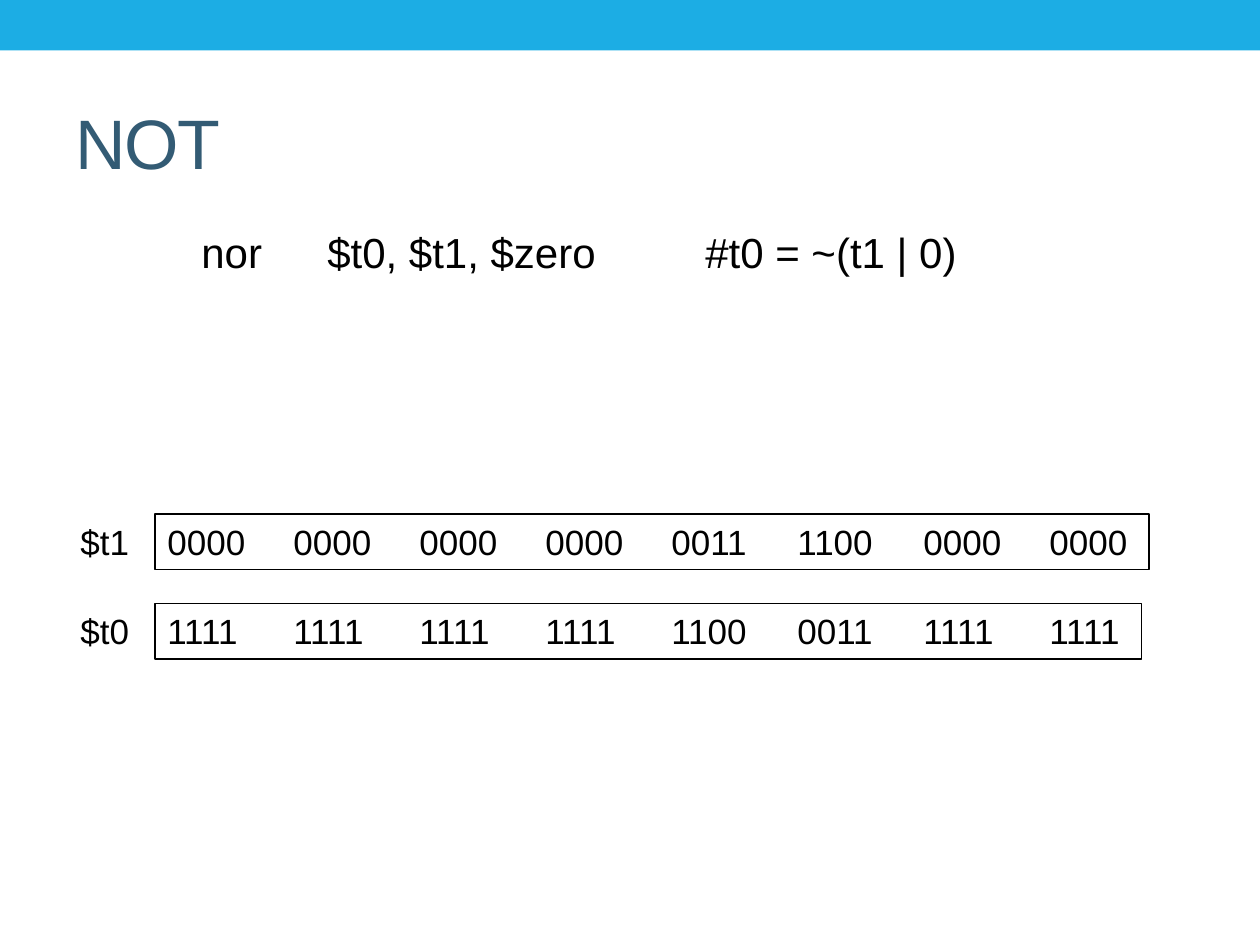
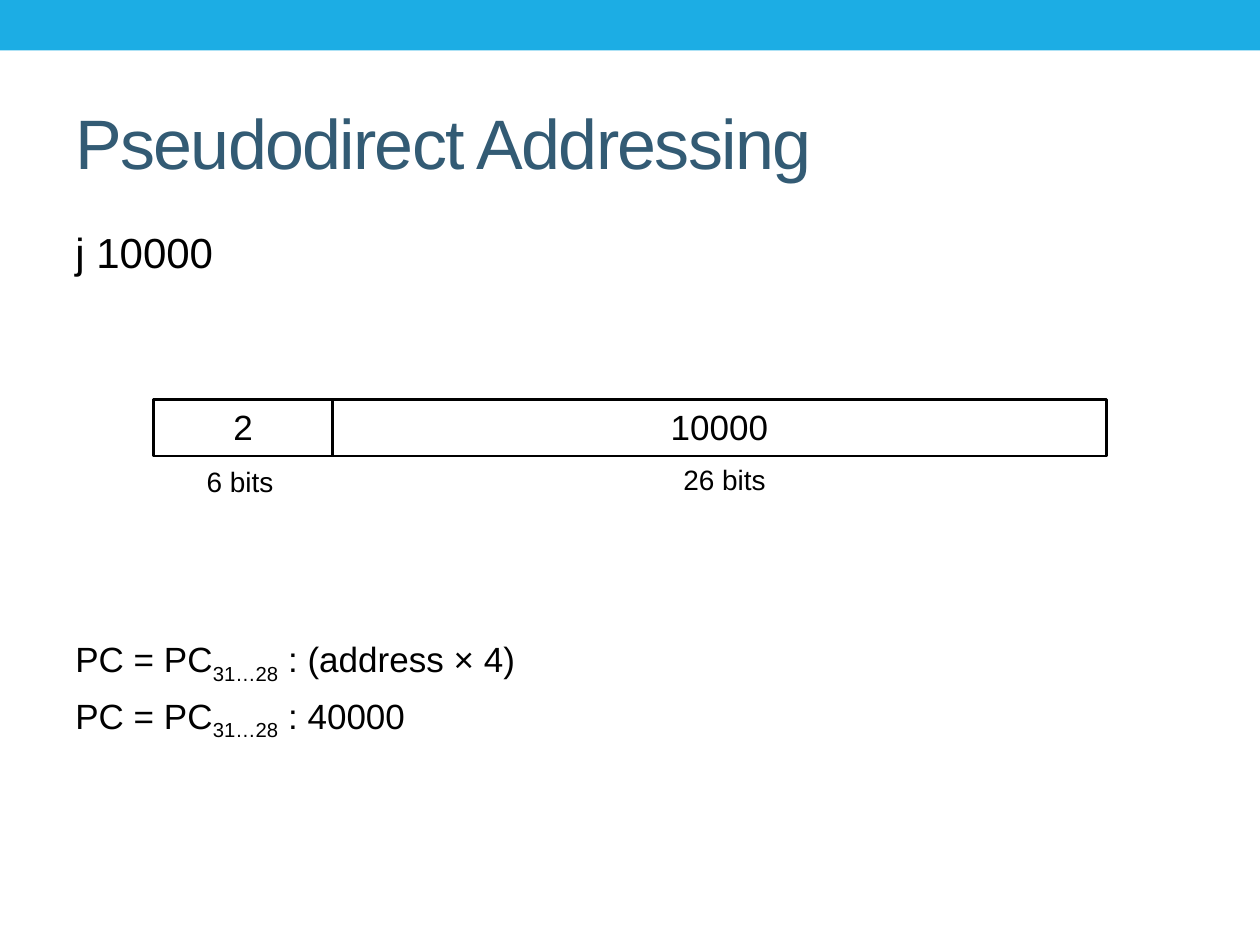
from pptx import Presentation
from pptx.dml.color import RGBColor
from pptx.enum.shapes import MSO_SHAPE
from pptx.enum.text import MSO_ANCHOR, MSO_AUTO_SIZE, PP_ALIGN
from pptx.util import Inches, Pt

RECTANGLE = MSO_SHAPE.RECTANGLE
TOP, MIDDLE = MSO_ANCHOR.TOP, MSO_ANCHOR.MIDDLE
LEFT, CENTER = PP_ALIGN.LEFT, PP_ALIGN.CENTER
NO_AUTOFIT = MSO_AUTO_SIZE.NONE

BLACK = RGBColor(0x00, 0x00, 0x00)
SKY = RGBColor(0x1C, 0xAD, 0xE4)
SLATE = RGBColor(0x33, 0x5B, 0x74)
FONT = "Arial"
TAB_WIDTH = Inches(1)

deck = Presentation()
deck.slide_width, deck.slide_height = Inches(10), Inches(7.5)

# The grid has 10 columns and 15 rows; every place below is (left, top, width, height) in it.
COLUMN = deck.slide_width / 10
ROW = deck.slide_height / 15
BAND = (0, 0, 10, 0.8)
TITLE = (0.5, 1.16, 9, 2.16)
BODY = (0.5, 3.5, 9, 10.66)


def place(box, area):
    """Put a box on an area of the grid."""
    left, top, width, height = area
    box.left, box.top = round(left * COLUMN), round(top * ROW)
    box.width, box.height = round(width * COLUMN), round(height * ROW)


def add_box(page, area, lines, size, align=LEFT, border=None, wrap=True):
    """Add a text box, or a rectangle if it has a border, and return it."""
    if border:
        box = page.shapes.add_shape(RECTANGLE, 0, 0, 0, 0)
        box.shadow.inherit = False
        box.fill.background()
        box.line.color.rgb = BLACK
        box.line.width = Pt(border)
    else:
        box = page.shapes.add_textbox(0, 0, 0, 0)
    place(box, area)
    frame = box.text_frame
    frame.text = "\n".join(lines)
    frame.word_wrap = wrap
    frame.vertical_anchor = TOP
    for para in frame.paragraphs:
        para.alignment = align
        para._p.get_or_add_pPr().set("defTabSz", str(TAB_WIDTH))
        para.font.size = Pt(size)
        for span in para.runs:
            span.font.name = FONT
            span.font.size = Pt(size)
            span.font.color.rgb = BLACK
    return box


# Both slides: band and title
pages = []
for heading in ("NOT", "Pseudodirect Addressing"):
    page = deck.slides.add_slide(deck.slide_layouts[5])
    band = page.shapes.add_shape(RECTANGLE, 0, 0, 0, 0)
    place(band, BAND)
    band.shadow.inherit = False
    band.fill.solid()
    band.fill.fore_color.rgb = SKY
    band.line.fill.background()

    title = page.shapes.title
    place(title, TITLE)
    title.text_frame.text = heading
    title.text_frame.auto_size = NO_AUTOFIT
    title.text_frame.vertical_anchor = MIDDLE
    para = title.text_frame.paragraphs[0]
    para.alignment = LEFT
    span = para.runs[0]
    span.font.name = FONT
    span.font.size = Pt(40)
    span.font.color.rgb = SLATE
    span._r.get_or_add_rPr().set("spc", "-100")
    pages.append(page)
not_page, jump_page = pages

# Slide 1: the instruction and the two registers
body = add_box(not_page, BODY, ["\tnor \t$t0, $t1, $zero\t#t0 = ~(t1 | 0)"], 24)
body.text_frame.paragraphs[0].space_before = Pt(2.5)

registers = [
    ("$t1", "0000 0000 0000 0000 0011 1100 0000 0000", 7.89),
    ("$t0", "1111 1111 1111 1111 1100 0011 1111 1111", 7.83),
]
for index, (name, bits, width) in enumerate(registers):
    top = 8.16 + 1.42 * index
    add_box(not_page, (1.23, top, width, 0.88), [bits.replace(" ", " \t")], 20, border=0.75)
    add_box(not_page, (0.54, top, 0.59, 0.86), [name], 20, wrap=False)

# Slide 2: the jump, its target address and the instruction fields
body = add_box(jump_page, BODY, ["j 10000"], 24)
body.text_frame.paragraphs[0].space_before = Pt(2.5)
for ending, gap in ((" : (address × 4)", 206), (" : 40000", 5)):
    para = body.text_frame.add_paragraph()
    para.space_before = Pt(gap)
    for text, baseline in (("PC = PC", 0), ("31…28", -25000), (ending, 0)):
        span = para.add_run()
        span.text = text
        span.font.name = FONT
        span.font.size = Pt(20)
        span.font.color.rgb = BLACK
        if baseline:
            span._r.get_or_add_rPr().set("baseline", str(baseline))

fields = [
    ("2", (1.22, 6.34, 1.42, 0.9), "6 bits", (1.54, 7.28, 0.73, 0.74)),
    ("10000", (2.64, 6.34, 6.14, 0.9), "26 bits", (5.32, 7.24, 0.86, 0.74)),
]
for value, field_area, size_label, label_area in fields:
    add_box(jump_page, field_area, [value], 20, CENTER, border=1.5)
    add_box(jump_page, label_area, [size_label], 16, CENTER, wrap=False)

deck.save("out.pptx")
